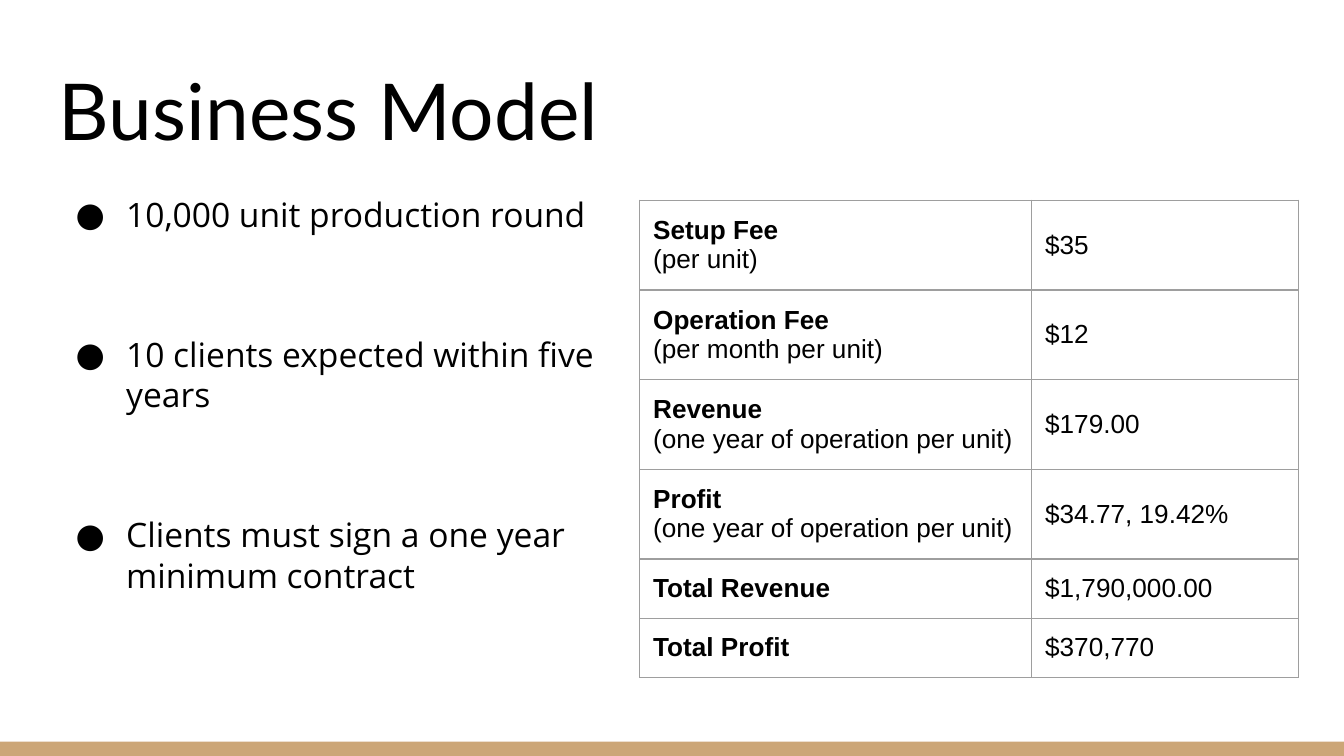
from dataclasses import dataclass

from lxml import etree
from pptx import Presentation
from pptx import util as u
from pptx.dml.color import RGBColor
from pptx.enum import shapes, text
from pptx.oxml.ns import qn

COLORS = {"text": "000000", "accent": "CCA677", "border": "9E9E9E"}
INSET = u.Pt(7.2)


@dataclass
class Box:
    left: float
    top: float
    width: float
    height: float

    def emu(self) -> list:
        return [u.Pt(v) for v in (self.left, self.top, self.width, self.height)]


@dataclass
class FeeRow:
    label: str
    value: str
    note: str = ""


BULLETS = [
    "10,000 unit production round",
    "10 clients expected within five years",
    "Clients must sign a one year minimum contract",
]
FEES = [
    FeeRow("Setup Fee", "$35", "(per unit)"),
    FeeRow("Operation Fee", "$12", "(per month per unit)"),
    FeeRow("Revenue", "$179.00", "(one year of operation per unit)"),
    FeeRow("Profit", "$34.77, 19.42%", "(one year of operation per unit)"),
    FeeRow("Total Revenue", "$1,790,000.00"),
    FeeRow("Total Profit", "$370,770"),
]


def rgb(name: str) -> RGBColor:
    return RGBColor.from_string(COLORS[name])


def add_run(p, words: str, font: str, size: float, bold: bool = False) -> None:
    r = p.add_run()
    r.text = words
    r.font.name, r.font.size, r.font.bold = font, u.Pt(size), bold
    r.font.color.rgb = rgb("text")


def add_text_frame(s, box: Box, anchor):
    tf = s.shapes.add_textbox(*box.emu()).text_frame
    tf.word_wrap = True
    tf.vertical_anchor = anchor
    tf.margin_left = tf.margin_right = tf.margin_top = tf.margin_bottom = INSET
    return tf


def add_bullet(p) -> None:
    ppr = p._p.get_or_add_pPr()
    ppr.set("marL", str(u.Pt(36)))
    ppr.set("indent", str(u.Pt(-27)))
    color = etree.SubElement(ppr, qn("a:buClr"))
    etree.SubElement(color, qn("a:srgbClr"), val=COLORS["text"])
    etree.SubElement(ppr, qn("a:buFont"), typeface="Open Sans")
    etree.SubElement(ppr, qn("a:buChar"), char="●")


def add_borders(cell) -> None:
    tcpr = cell._tc.get_or_add_tcPr()
    for i, side in enumerate(("lnL", "lnR", "lnT", "lnB")):
        ln = etree.Element(qn(f"a:{side}"), w=str(u.Pt(0.75)))
        fill = etree.SubElement(ln, qn("a:solidFill"))
        etree.SubElement(fill, qn("a:srgbClr"), val=COLORS["border"])
        tcpr.insert(i, ln)


def fill_cell(cell, lines: list[tuple[str, bool]]) -> None:
    cell.fill.background()
    cell.vertical_anchor = text.MSO_ANCHOR.MIDDLE
    cell.margin_left = cell.margin_right = cell.margin_top = cell.margin_bottom = INSET
    tf = cell.text_frame
    for i, (words, bold) in enumerate(lines):
        p = tf.add_paragraph() if i else tf.paragraphs[0]
        add_run(p, words, "Arial", 14, bold)
    add_borders(cell)


def add_fee_table(s, left: float, top: float, widths: list[float]) -> None:
    heights = [45.8 if fee.note else 31.7 for fee in FEES]
    box = Box(left, top, sum(widths), sum(heights))
    table = s.shapes.add_table(len(FEES), len(widths), *box.emu()).table
    table.first_row = table.horz_banding = False
    for column, width in zip(table.columns, widths):
        column.width = u.Pt(width)
    for i, (fee, height) in enumerate(zip(FEES, heights)):
        table.rows[i].height = u.Pt(height)
        lines = [(fee.label, True)] + ([(fee.note, False)] if fee.note else [])
        fill_cell(table.cell(i, 0), lines)
        fill_cell(table.cell(i, 1), [(fee.value, False)])


def main() -> None:
    prs = Presentation()
    prs.slide_width, prs.slide_height = u.Pt(720), u.Pt(405)
    s = prs.slides.add_slide(prs.slide_layouts[6])

    # Bottom band
    band = Box(0, 397.3, 720, 7.7)
    sp = s.shapes.add_shape(shapes.MSO_SHAPE.RECTANGLE, *band.emu())
    sp.shadow.inherit = False
    sp.fill.solid()
    sp.fill.fore_color.rgb = rgb("accent")
    sp.line.fill.background()

    # Title
    tf = add_text_frame(s, Box(24.5, 25.2, 671, 65.5), text.MSO_ANCHOR.BOTTOM)
    add_run(tf.paragraphs[0], "Business Model", "Lato", 42)

    # Bullets
    tf = add_text_frame(s, Box(24.5, 96.5, 318.2, 264.2), text.MSO_ANCHOR.TOP)
    for i, words in enumerate(BULLETS):
        p = tf.add_paragraph() if i else tf.paragraphs[0]
        add_bullet(p)
        if i:
            p.space_before = u.Pt(53.5)
        add_run(p, words, "Open Sans", 18)

    # Fee table
    add_fee_table(s, 342.7, 107.3, [210, 142.9])

    prs.save("out.pptx")


if __name__ == "__main__":
    main()
